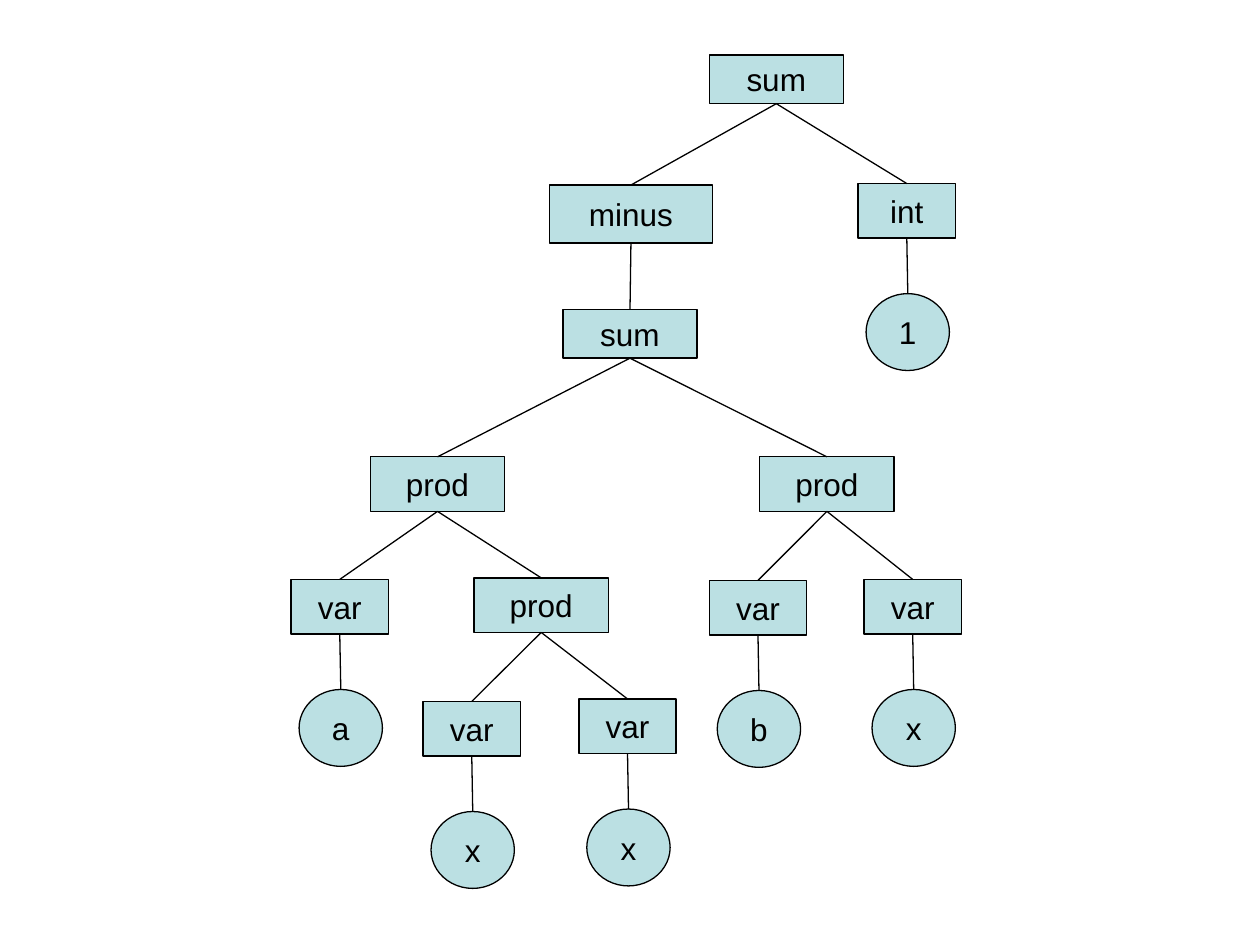
from pptx import Presentation
from pptx.dml.color import RGBColor
from pptx.enum import shapes as es, text as et
from pptx.oxml import ns
from pptx.util import Cm, Pt
from lxml import etree

HUES = {"fill": "BBE0E3", "ink": "000000"}
SIZES = {
    "sum": (2.7, 0.98),
    "minus": (3.28, 1.17),
    "prod": (2.71, 1.1),
    "int": (1.96, 1.1),
    "var": (1.96, 1.1),
}
LEAF = (1.68, 1.55)
LEAF_DX, LEAF_DY = 0.02, 2.22


def hue(name):
    return RGBColor.from_string(HUES[name])


def token(kind, value, x, y):
    """Return an int or var node with its value as a leaf below."""
    return kind, x, y, [(value, x + LEAF_DX, y + LEAF_DY, [])]


# Each node: label, centre x, top y (cm from the tree's corner), children
TREE = ("sum", 9.78, 0, [
    ("minus", 6.85, 2.62, [
        ("sum", 6.83, 5.13, [
            ("prod", 2.95, 8.1, [
                token("var", "a", 0.98, 10.57),
                ("prod", 5.04, 10.54, [
                    token("var", "x", 3.64, 13.03),
                    token("var", "x", 6.78, 12.98),
                ]),
            ]),
            ("prod", 10.8, 8.1, [
                token("var", "b", 9.41, 10.59),
                token("var", "x", 12.53, 10.57),
            ]),
        ]),
    ]),
    token("int", "1", 12.41, 2.59),
])


def add_node(group, label, mid, top):
    wide, high = SIZES.get(label, LEAF)
    kind = es.MSO_SHAPE.RECTANGLE if label in SIZES else es.MSO_SHAPE.OVAL
    node = group.shapes.add_shape(
        kind, Cm(mid - wide / 2), Cm(top), Cm(wide), Cm(high))
    node.shadow.inherit = False
    node.fill.solid()
    node.fill.fore_color.rgb = hue("fill")
    node.line.color.rgb = hue("ink")
    node.line.width = Pt(0.75)
    frame = node.text_frame
    frame.word_wrap = False
    frame.vertical_anchor = et.MSO_ANCHOR.MIDDLE
    para = frame.paragraphs[0]
    para.alignment = et.PP_ALIGN.CENTER
    run = para.add_run()
    run.text = label
    run.font.name = "Arial"
    run.font.size = Pt(18)
    run.font.color.rgb = hue("ink")
    return node


def add_edge(group, upper, lower):
    edge = group.shapes.add_connector(
        es.MSO_CONNECTOR.STRAIGHT,
        upper.left + upper.width // 2, upper.top + upper.height,
        lower.left + lower.width // 2, lower.top)
    edge.begin_connect(upper, 2)
    edge.end_connect(lower, 0)
    edge.line.color.rgb = hue("ink")
    edge.line.width = Pt(0.75)
    etree.SubElement(edge._element.spPr, ns.qn("a:effectLst"))


def add_tree(group, tree, left, top):
    """Draw a tree from the given corner (cm) and return its root shape."""
    label, mid, drop, kids = tree
    root = add_node(group, label, left + mid, top + drop)
    for kid in kids:
        add_edge(group, root, add_tree(group, kid, left, top))
    return root


def main():
    deck = Presentation()
    deck.slide_width, deck.slide_height = Cm(25.4), Cm(19.05)
    slide = deck.slides.add_slide(deck.slide_layouts[6])
    add_tree(slide.shapes.add_group_shape(), TREE, 5.87, 1.11)
    deck.save("out.pptx")


if __name__ == "__main__":
    main()
